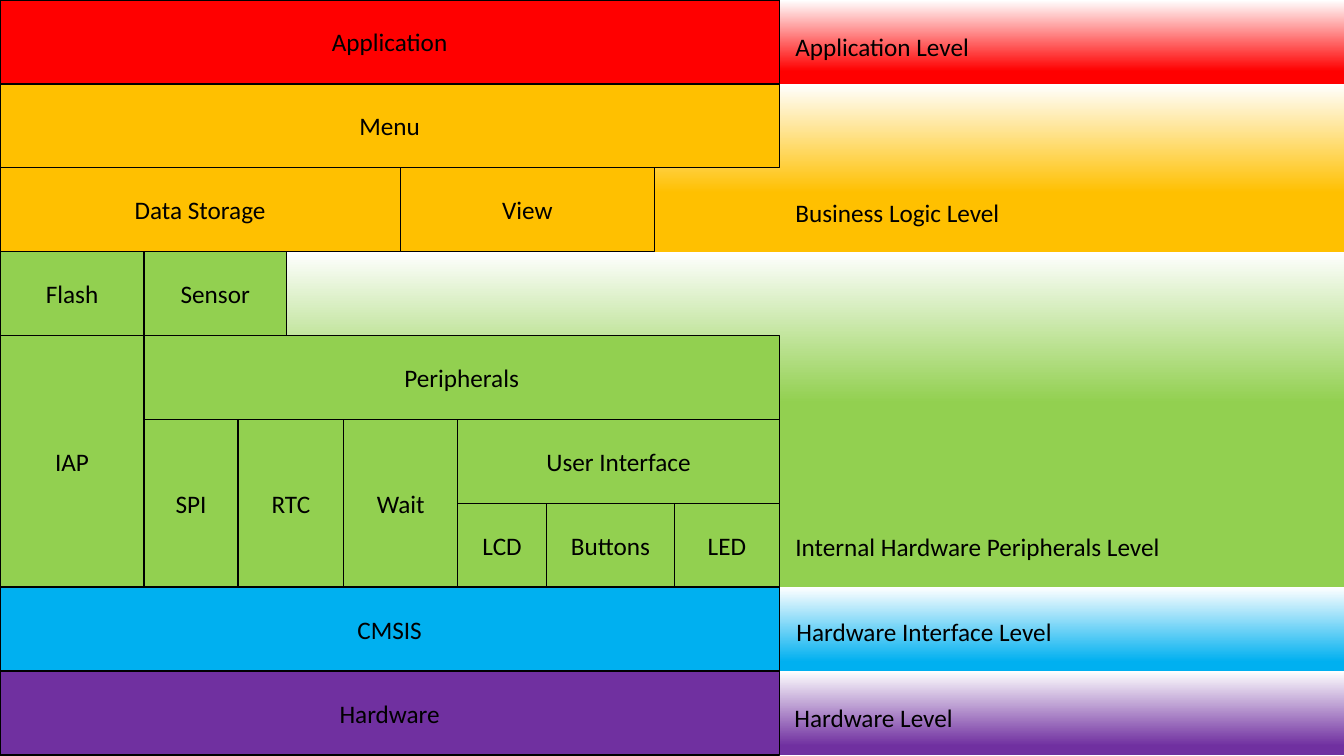
from pptx import Presentation
from pptx.dml.color import RGBColor
from pptx.enum import shapes, text
from pptx.util import Inches, Pt

RED = RGBColor(0xFF, 0x00, 0x00)
AMBER = RGBColor(0xFF, 0xC0, 0x00)
GREEN = RGBColor(0x92, 0xD0, 0x50)
BLUE = RGBColor(0x00, 0xB0, 0xF0)
PURPLE = RGBColor(0x70, 0x30, 0xA0)
BLACK = RGBColor(0x00, 0x00, 0x00)
WHITE = RGBColor(0xFF, 0xFF, 0xFF)

WIDTH, HEIGHT = 13.33, 7.5
ROW = 7.49 / 9
STACK_WIDTH = 7.73

# Level name, colour, first row, rows, solid share of the gradient, label left and top
LEVELS = [
    ("Application Level", RED, 0, 1, 0.15, 7.79, 0.26),
    ("Business Logic Level", AMBER, 1, 2, 0.35, 7.79, 1.91),
    ("Internal Hardware Peripherals Level", GREEN, 3, 4, 0.55, 7.79, 5.22),
    ("Hardware Interface Level", BLUE, 7, 1, 0.11, 7.8, 6.07),
    ("Hardware Level", PURPLE, 8, 1, 0.11, 7.78, 6.92),
]

# Colour, first row, rows, left edge of the run, then (module name, right edge) pairs
MODULE_RUNS = [
    (RED, 0, 1, 0, [("Application", STACK_WIDTH)]),
    (AMBER, 1, 1, 0, [("Menu", STACK_WIDTH)]),
    (AMBER, 2, 1, 0, [("Data Storage", 3.97), ("View", 6.49)]),
    (GREEN, 3, 1, 0, [("Flash", 1.43), ("Sensor", 2.84)]),
    (GREEN, 4, 1, 1.43, [("Peripherals", STACK_WIDTH)]),
    (GREEN, 5, 2, 1.43, [("SPI", 2.36), ("RTC", 3.41), ("Wait", 4.54)]),
    (GREEN, 5, 1, 4.54, [("User Interface", STACK_WIDTH)]),
    (GREEN, 6, 1, 4.54, [("LCD", 5.42), ("Buttons", 6.69), ("LED", STACK_WIDTH)]),
    (BLUE, 7, 1, 0, [("CMSIS", STACK_WIDTH)]),
    (PURPLE, 8, 1, 0, [("Hardware", STACK_WIDTH)]),
    (GREEN, 4, 3, 0, [("IAP", 1.43)]),
]


def add_rectangle(slide, left, top, width, height):
    """Add a shadowless rectangle measured in inches."""
    shape = slide.shapes.add_shape(
        shapes.MSO_SHAPE.RECTANGLE,
        Inches(left), Inches(top), Inches(width), Inches(height))
    shape.shadow.inherit = False
    return shape


def write(shape, words, alignment):
    """Write one run of black text into the shape."""
    shape.text_frame.word_wrap = True
    paragraph = shape.text_frame.paragraphs[0]
    paragraph.alignment = alignment
    run = paragraph.add_run()
    run.text = words
    run.font.name = "Calibri"
    run.font.size = Pt(18)
    run.font.color.rgb = BLACK


def add_bands(slide, left, top, width):
    """Draw the level bands, fading upwards from their colour to white."""
    for name, color, row, rows, solid, label_left, label_top in reversed(LEVELS):
        band = add_rectangle(slide, left, top + row * ROW, width, rows * ROW)
        band.line.fill.background()
        band.fill.gradient()
        band.fill.gradient_angle = 90
        for stop, position, tint in zip(band.fill.gradient_stops, (solid, 1), (color, WHITE)):
            stop.position = position
            stop.color.rgb = tint


def add_modules(slide, left, top):
    """Stack the module boxes on the row grid."""
    for color, row, rows, run_left, modules in MODULE_RUNS:
        edge = run_left
        for name, right in modules:
            box = add_rectangle(slide, left + edge, top + row * ROW, right - edge, rows * ROW)
            box.fill.solid()
            box.fill.fore_color.rgb = color
            box.line.color.rgb = BLACK
            box.line.width = Pt(1)
            box.text_frame.vertical_anchor = text.MSO_ANCHOR.MIDDLE
            write(box, name, text.PP_ALIGN.CENTER)
            edge = right


def add_labels(slide, left, top, width):
    """Name each level to the right of the modules."""
    for name, color, row, rows, solid, label_left, label_top in LEVELS:
        label = slide.shapes.add_textbox(
            Inches(left + label_left), Inches(top + label_top),
            Inches(width - label_left), Inches(0.4))
        label.text_frame.auto_size = text.MSO_AUTO_SIZE.SHAPE_TO_FIT_TEXT
        write(label, name, text.PP_ALIGN.LEFT)


def build_layers_slide(presentation):
    """Build the slide of software layers."""
    slide = presentation.slides.add_slide(presentation.slide_layouts[6])
    add_bands(slide, 0, 0, WIDTH)
    add_modules(slide, 0, 0)
    add_labels(slide, 0, 0, WIDTH)


presentation = Presentation()
presentation.slide_width = Inches(WIDTH)
presentation.slide_height = Inches(HEIGHT)
build_layers_slide(presentation)
presentation.save("out.pptx")
